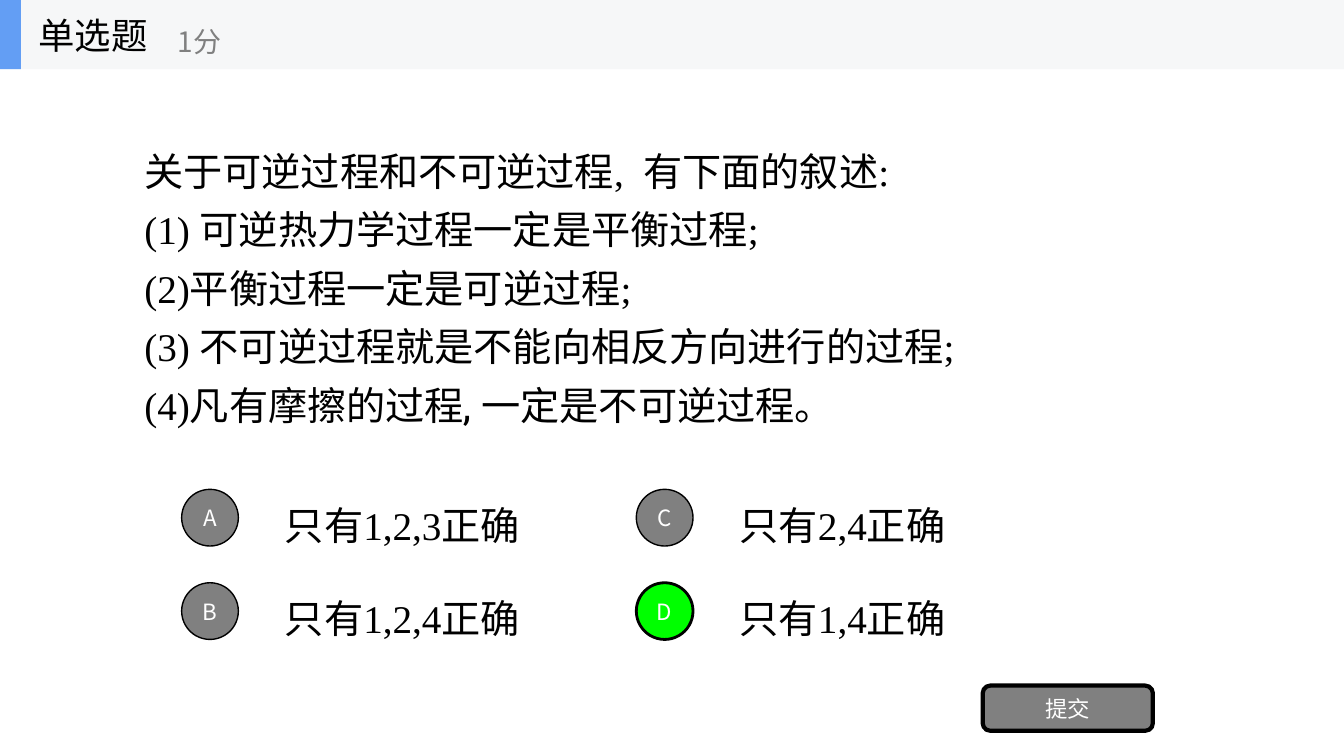
import lxml.etree
import pptx
import pptx.dml.color
import pptx.enum.shapes
import pptx.enum.text
import pptx.oxml.ns
import pptx.util

RGBColor = pptx.dml.color.RGBColor
SHAPE = pptx.enum.shapes.MSO_SHAPE
ALIGN = pptx.enum.text.PP_ALIGN
ANCHOR = pptx.enum.text.MSO_ANCHOR
Pt = pptx.util.Pt

BLACK = RGBColor(0x00, 0x00, 0x00)
WHITE = RGBColor(0xFF, 0xFF, 0xFF)
GRAY = RGBColor(0x80, 0x80, 0x80)
GREEN = RGBColor(0x00, 0xFF, 0x00)
BLUE = RGBColor(0x63, 0x9E, 0xF4)
PALE = RGBColor(0xF6, 0xF7, 0xF8)

SANS = "Noto Sans CJK SC"
SERIF = "Times New Roman"
SLAB = "Roboto Slab"

QUESTION = [
    [("关于可逆过程和不可逆过程,  有下面的叙述:", SERIF)],
    [("(1) 可逆热力学过程一定是平衡过程;", SERIF)],
    [("(2)平衡过程一定是可逆过程;", SERIF)],
    [("(3) 不可逆过程就是不能向相反方向进行的过程;", SERIF)],
    [("(4)", SERIF), ("凡有摩擦的过程, 一定是不可逆过程。", SLAB)],
]
OPTIONS = [
    ("A", "只有1,2,3正确"),
    ("B", "只有1,2,4正确"),
    ("C", "只有2,4正确"),
    ("D", "只有1,4正确"),
]
ANSWER = "D"


def px(length):
    """Convert px to EMU at 96 px to the inch."""
    return pptx.util.Emu(length * 9525)


def add_run(paragraph, text, size, font, color):
    run = paragraph.add_run()
    run.text = text
    run.font.size = Pt(size)
    run.font.color.rgb = color
    run.font.name = font
    east_asian = lxml.etree.SubElement(run.font._element, pptx.oxml.ns.qn("a:ea"))
    east_asian.set("typeface", SANS)


def add_text(slide, box, lines, size, color, wrap=True):
    """Add a text box; each line is a list of (text, font) runs."""
    frame = slide.shapes.add_textbox(*map(px, box)).text_frame
    frame.word_wrap = wrap
    frame.vertical_anchor = ANCHOR.MIDDLE
    for index, line in enumerate(lines):
        paragraph = frame.paragraphs[0] if index == 0 else frame.add_paragraph()
        for text, font in line:
            add_run(paragraph, text, size, font, color)
    return frame


def add_block(slide, preset, box, fill, line_width=0, label=""):
    block = slide.shapes.add_shape(preset, *map(px, box))
    block.shadow.inherit = False
    block.fill.solid()
    block.fill.fore_color.rgb = fill
    if line_width:
        block.line.color.rgb = BLACK
        block.line.width = Pt(line_width)
    else:
        block.line.fill.background()
    if label:
        block.text_frame.vertical_anchor = ANCHOR.MIDDLE
        paragraph = block.text_frame.paragraphs[0]
        paragraph.alignment = ALIGN.CENTER
        add_run(paragraph, label, 16, SANS, WHITE)


def add_header(slide, left, top, width, height):
    add_block(slide, SHAPE.RECTANGLE, (left, top, width, height), PALE)
    add_block(slide, SHAPE.RECTANGLE, (left, top, 20, height), BLUE)
    add_text(slide, (left + 27, top, 200, height), [[("单选题", SANS)]], 26, BLACK, wrap=False)
    add_text(slide, (left + 160, top + 12, 240, height - 12), [[("1分", SANS)]], 20, GRAY, wrap=False)


def add_question(slide, box):
    frame = add_text(slide, box, QUESTION, 28, BLACK)
    for index, paragraph in enumerate(frame.paragraphs):
        paragraph.line_spacing = 1.2
        if index:
            paragraph.space_before = Pt(1.4)
        properties = paragraph._p.get_or_add_pPr()
        properties.set("marL", str(px(48)))
        properties.set("indent", str(px(-48)))


def add_options(slide, left, top, column_step, row_step):
    """Lay out the options down each column of two."""
    for index, (letter, answer) in enumerate(OPTIONS):
        column, row = divmod(index, 2)
        x, y = left + column * column_step, top + row * row_step
        correct = letter == ANSWER
        add_text(slide, (x + 89, y, 392, 67), [[(answer, SERIF)]], 28, BLACK)
        add_block(slide, SHAPE.OVAL, (x, y, 54, 54), GREEN if correct else GRAY,
                  2 if correct else 1, letter)


def main():
    presentation = pptx.Presentation()
    presentation.slide_width = px(1280)
    presentation.slide_height = px(720)
    slide = presentation.slides.add_slide(presentation.slide_layouts[6])
    add_question(slide, (128, 157, 1024, 225))
    add_options(slide, 173, 466, 433, 89)
    add_block(slide, SHAPE.ROUNDED_RECTANGLE, (936, 653, 162, 43), GRAY, 3, "提交")
    add_header(slide, 0, 0, 1280, 66)
    presentation.save("out.pptx")


if __name__ == "__main__":
    main()
